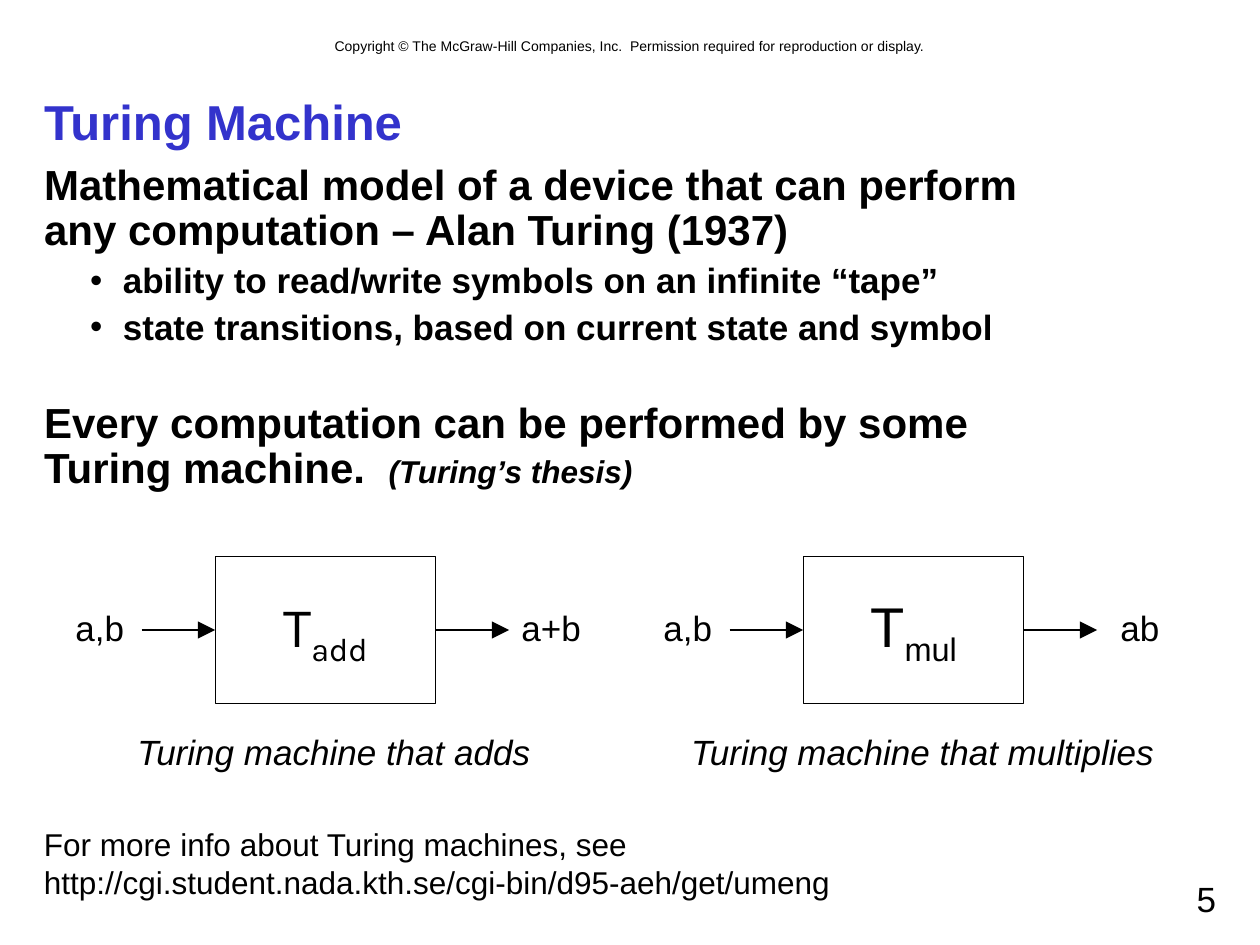
from dataclasses import dataclass
from typing import Any, NamedTuple

from lxml.etree import SubElement
from pptx import Presentation
from pptx.dml.color import RGBColor
from pptx.enum.shapes import MSO_CONNECTOR as Connector
from pptx.enum.shapes import MSO_SHAPE as Shape
from pptx.enum.text import MSO_ANCHOR as Anchor
from pptx.enum.text import MSO_AUTO_SIZE as AutoSize
from pptx.enum.text import PP_ALIGN as Align
from pptx.oxml.ns import qn
from pptx.util import Emu, Pt


@dataclass(frozen=True)
class Theme:
    font: str = "Arial"
    ink: RGBColor = RGBColor(0x00, 0x00, 0x00)
    heading: RGBColor = RGBColor(0x33, 0x33, 0xCC)
    title_size: int = 28
    symbol_size: int = 32
    statement_size: int = 24
    label_size: int = 20
    note_size: int = 18
    copyright_size: int = 8
    stroke: float = 0.75


class Box(NamedTuple):
    left: int
    top: int
    width: int
    height: int


class Machine(NamedTuple):
    offset: int
    operation: str
    symbol_font: str
    result: str
    result_box: Box
    caption: str
    caption_box: Box


class Statement(NamedTuple):
    runs: tuple[tuple[str, dict[str, Any]], ...]
    space_before: float
    bulleted: bool = False


THEME = Theme()
PX = 9525  # 96 px to the inch

BIG = {"size": Pt(THEME.statement_size), "bold": True}
POINT = {"size": Pt(THEME.label_size), "bold": True}
THESIS = {"size": Pt(THEME.note_size), "bold": True, "italic": True}

STATEMENTS = (
    Statement((("Mathematical model of a device that can perform\n"
                "any computation – Alan Turing (1937)", BIG),), 0),
    Statement((("ability to read/write symbols on an infinite “tape”", POINT),), 5, True),
    Statement((("state transitions, based on current state and symbol", POINT),), 5, True),
    Statement((("Every computation can be performed by some\nTuring machine.  ", BIG),
               ("(Turing’s thesis)", THESIS)), 31),
)
MACHINES = (
    Machine(0, "add", "Karla", "a+b", Box(385, 457, 70, 42),
            "Turing machine that adds", Box(94, 552, 321, 42)),
    Machine(448, "mul", THEME.font, "ab", Box(844, 457, 49, 42),
            "Turing machine that multiplies", Box(516, 552, 374, 42)),
)


def emu(*lengths: int) -> list[Emu]:
    return [Emu(length * PX) for length in lengths]


def set_values(target: Any, values: dict[str, Any]) -> None:
    for name, value in values.items():
        setattr(target, name, value)


def place(shape: Any, box: Box) -> None:
    set_values(shape, dict(zip(Box._fields, emu(*box))))


def write(paragraph: Any, text: str, color: RGBColor = THEME.ink, **font: Any) -> Any:
    """Add text to a paragraph, breaking lines at newlines; return the last run."""
    for index, line in enumerate(text.split("\n")):
        if index:
            paragraph.add_line_break()
        run = paragraph.add_run()
        run.text = line
        set_values(run.font, {"name": THEME.font, **font})
        run.font.color.rgb = color
    return run


def add_label(shapes: Any, box: Box, *lines: str, size: int = THEME.label_size,
              align: Align = Align.CENTER, wrap: bool = False, italic: bool = False) -> None:
    frame = shapes.add_textbox(*emu(*box)).text_frame
    fit = AutoSize.NONE if wrap else AutoSize.SHAPE_TO_FIT_TEXT
    set_values(frame, {"word_wrap": wrap, "auto_size": fit})
    for index, line in enumerate(lines):
        paragraph = frame.add_paragraph() if index else frame.paragraphs[0]
        paragraph.alignment = align
        write(paragraph, line, size=Pt(size), italic=italic)


def add_arrow(shapes: Any, start: int, end: int, y: int) -> None:
    arrow = shapes.add_connector(Connector.STRAIGHT, *emu(start, y, end, y))
    arrow.line.color.rgb = THEME.ink
    arrow.line.width = Pt(THEME.stroke)
    properties = arrow._element.spPr
    SubElement(properties.find(qn("a:ln")), qn("a:tailEnd"), type="triangle", w="lg", len="lg")
    SubElement(properties, qn("a:effectLst"))


def add_machine(slide: Any, machine: Machine) -> None:
    shapes = slide.shapes.add_group_shape().shapes
    x = machine.offset

    # Machine box with its subscripted symbol
    block = shapes.add_shape(Shape.RECTANGLE, *emu(x + 164, 424, 168, 112))
    block.shadow.inherit = False
    block.fill.background()
    block.line.color.rgb = THEME.ink
    block.line.width = Pt(THEME.stroke)
    set_values(block.text_frame, {"word_wrap": False, "vertical_anchor": Anchor.MIDDLE})
    symbol = block.text_frame.paragraphs[0]
    symbol.alignment = Align.CENTER
    style = {"name": machine.symbol_font, "size": Pt(THEME.symbol_size)}
    write(symbol, "T", **style)
    subscript = write(symbol, machine.operation, **style)
    subscript.font._element.set("baseline", "-25000")

    # Input, output and caption
    for start in (108, 332):
        add_arrow(shapes, x + start, x + start + 56, 480)
    add_label(shapes, Box(x + 48, 457, 56, 42), "a,b")
    add_label(shapes, machine.result_box, machine.result)
    add_label(shapes, machine.caption_box, machine.caption, italic=True)


def fill_title(title: Any) -> None:
    place(title, Box(24, 64, 912, 56))
    set_values(title.text_frame, {"vertical_anchor": Anchor.MIDDLE, "auto_size": AutoSize.NONE})
    heading = title.text_frame.paragraphs[0]
    heading.alignment = Align.LEFT
    write(heading, "Turing Machine", THEME.heading, size=Pt(THEME.title_size), bold=True)


def fill_body(body: Any) -> None:
    place(body, Box(24, 120, 864, 295))
    frame = body.text_frame
    frame.auto_size = AutoSize.NONE
    for index, statement in enumerate(STATEMENTS):
        paragraph = frame.add_paragraph() if index else frame.paragraphs[0]
        properties = paragraph._p.get_or_add_pPr()
        margin, indent = emu(60, -25) if statement.bulleted else (0, 0)
        properties.set("marL", str(margin))
        properties.set("indent", str(indent))
        if statement.bulleted:
            color = SubElement(properties, qn("a:buClr"))
            SubElement(color, qn("a:srgbClr"), val=str(THEME.ink))
            SubElement(properties, qn("a:buChar"), char="•")
        else:
            SubElement(properties, qn("a:buNone"))
        set_values(paragraph, {"level": int(statement.bulleted), "line_spacing": 0.9,
                               "space_before": Pt(statement.space_before)})
        for text, font in statement.runs:
            write(paragraph, text, **font)


def main() -> None:
    deck = Presentation()
    deck.slide_width, deck.slide_height = emu(960, 720)
    slide = deck.slides.add_slide(deck.slide_layouts[1])

    # Copyright line, title and statements
    add_label(slide.shapes, Box(64, 24, 832, 23),
              "Copyright © The McGraw-Hill Companies, Inc.  "
              "Permission required for reproduction or display.",
              size=THEME.copyright_size, wrap=True)
    fill_title(slide.shapes.title)
    fill_body(slide.placeholders[1])

    # Machine diagrams
    for machine in MACHINES:
        add_machine(slide, machine)

    # Reference and page number
    add_label(slide.shapes, Box(24, 624, 618, 67), "For more info about Turing machines, see",
              "http://cgi.student.nada.kth.se/cgi-bin/d95-aeh/get/umeng",
              size=THEME.note_size, align=Align.LEFT)
    add_label(slide.shapes, Box(688, 664, 248, 40), "5", align=Align.RIGHT, wrap=True)

    deck.save("out.pptx")


if __name__ == "__main__":
    main()
